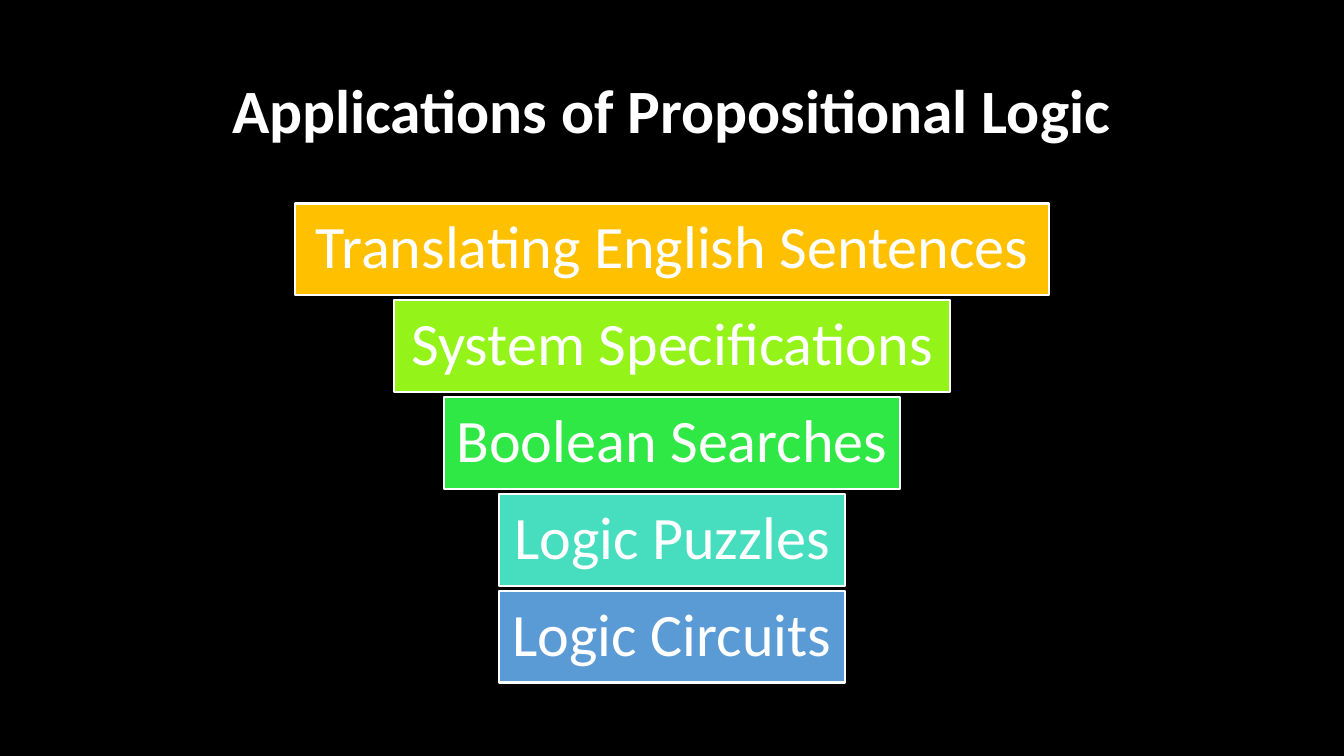
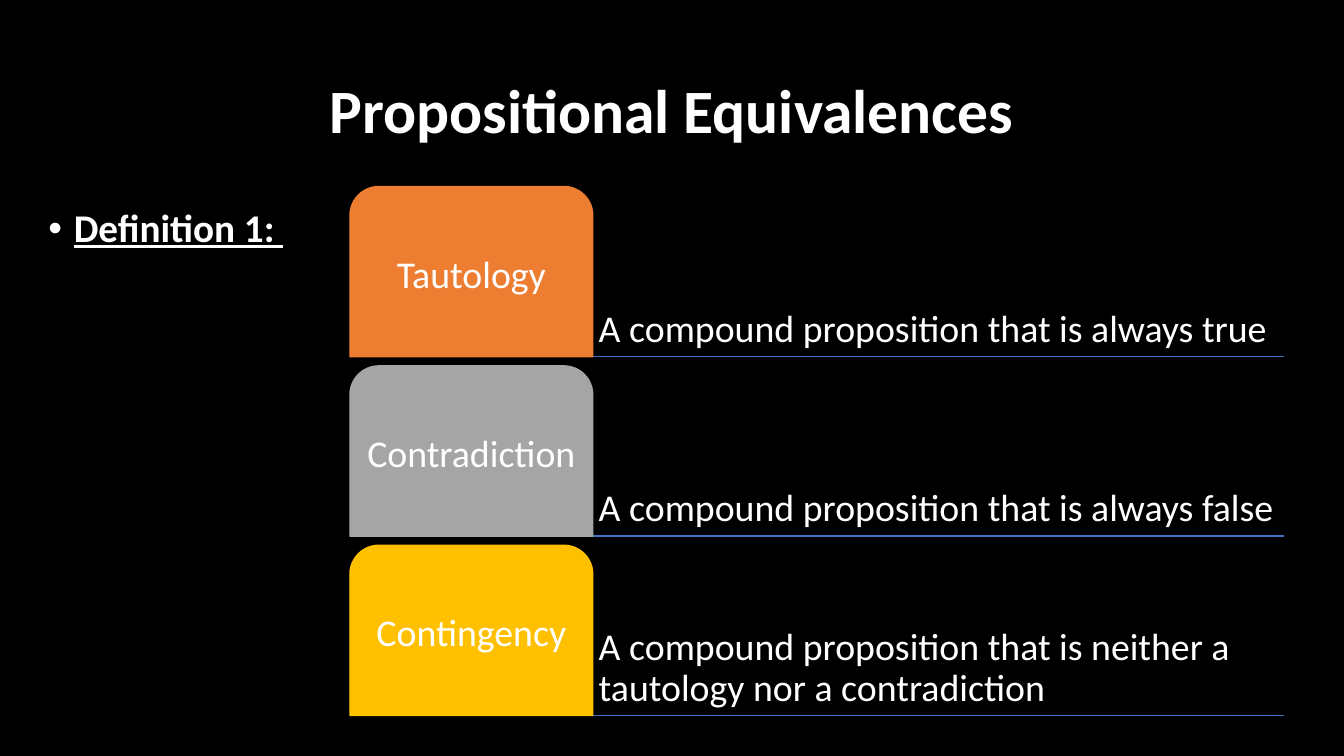
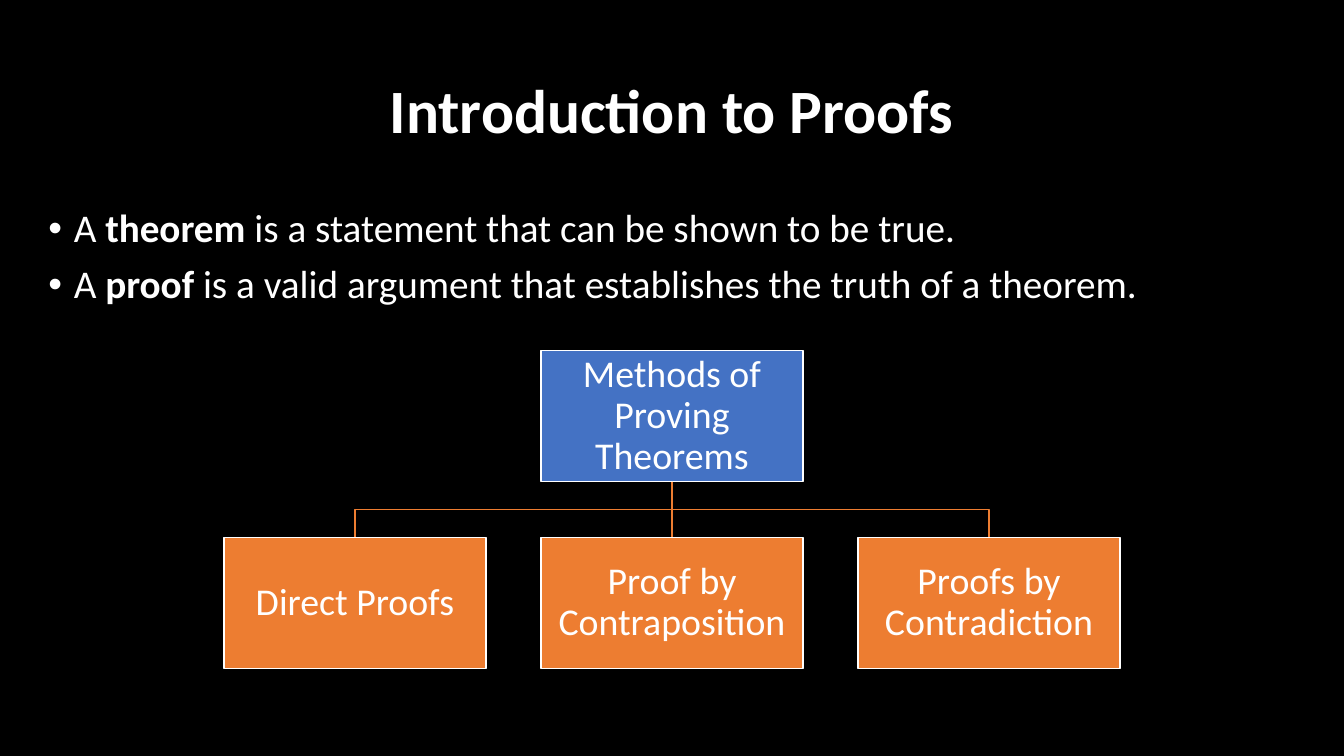
from pptx import Presentation
from pptx.dml.color import RGBColor
from pptx.enum.shapes import MSO_CONNECTOR, MSO_SHAPE
from pptx.enum.text import MSO_ANCHOR, PP_ALIGN
from pptx.oxml.xmlchemy import OxmlElement
from pptx.util import Cm, Pt

RECT = MSO_SHAPE.RECTANGLE
TAB = MSO_SHAPE.ROUND_2_SAME_RECTANGLE
STRAIGHT = MSO_CONNECTOR.STRAIGHT
TOP, MIDDLE, BOTTOM = MSO_ANCHOR.TOP, MSO_ANCHOR.MIDDLE, MSO_ANCHOR.BOTTOM
LEFT, CENTER = PP_ALIGN.LEFT, PP_ALIGN.CENTER

BLACK, WHITE = "000000", "FFFFFF"
BLUE, ORANGE, GREY, GOLD = "4472C4", "ED7D31", "A5A5A5", "FFC000"
WIDE, HIGH = 33.87, 19.05
MID = WIDE / 2
BOLD = {"bold": True}


def color(code):
    return RGBColor.from_string(code)


class Deck:
    """Holds the shared style and the slide being built."""

    def __init__(self):
        self.prs = Presentation()
        self.prs.slide_width, self.prs.slide_height = Cm(WIDE), Cm(HIGH)
        fill = self.prs.slide_master.background.fill
        fill.solid()
        fill.fore_color.rgb = color(BLACK)

    def slide(self, title):
        blank = self.prs.slide_layouts[6]
        self.shapes = self.prs.slides.add_slide(blank).shapes
        self.text((2.33, 1.01, 29.21, 3.68), [[(title, BOLD)]], 44, CENTER, MIDDLE)

    def label(self, shape, paras, size, align, anchor, pad):
        frame = shape.text_frame
        layout = {"word_wrap": True, "vertical_anchor": anchor}
        layout.update({f"margin_{side}": Cm(pad) for side in ("left", "right", "top", "bottom")})
        for key, value in layout.items():
            setattr(frame, key, value)
        for i, runs in enumerate(paras):
            para = frame.add_paragraph() if i else frame.paragraphs[0]
            para.alignment, para.line_spacing = align, 0.9
            for words, extra in runs:
                run = para.add_run()
                run.text = words
                style = {"name": "Calibri", "size": Pt(size), **extra}
                for key, value in style.items():
                    setattr(run.font, key, value)
                run.font.color.rgb = color(WHITE)
        return frame

    def text(self, area, paras, size, align=LEFT, anchor=TOP, pad=0.2):
        box = self.shapes.add_textbox(*map(Cm, area))
        return self.label(box, paras, size, align, anchor, pad)

    def bullets(self, paras):
        frame = self.text((0.97, 5.13, 31.95, 12.09), paras, 28, pad=0.25)
        frame.margin_top = Cm(0.13)
        for para in frame.paragraphs:
            para.space_before = Pt(10)
            props = para._p.get_or_add_pPr()
            props.set("marL", str(Cm(0.64)))
            props.set("indent", str(-Cm(0.64)))
            for tag, key, value in (("a:buFont", "typeface", "Arial"), ("a:buChar", "char", "•")):
                mark = OxmlElement(tag)
                mark.set(key, value)
                props.append(mark)

    def stroke(self, item, tint, width=1):
        item.line.color.rgb = color(tint)
        item.line.width = Pt(width)

    def box(self, area, words, fill, edge=WHITE, width=1, kind=RECT, size=27, pad=0.05):
        shape = self.shapes.add_shape(kind, *map(Cm, area))
        shape.shadow.inherit = False
        shape.fill.solid()
        shape.fill.fore_color.rgb = color(fill)
        self.stroke(shape, edge, width)
        self.label(shape, [[(words, {})]], size, CENTER, MIDDLE, pad)
        return shape

    def line(self, start, end, tint):
        line = self.shapes.add_connector(STRAIGHT, *map(Cm, start + end))
        self.stroke(line, tint)
        line._element.spPr.append(OxmlElement("a:effectLst"))
        return line

    def bend(self, points, tint):
        first, *rest = [(Cm(x), Cm(y)) for x, y in points]
        pen = self.shapes.build_freeform(*first)
        pen.add_line_segments(rest, close=False)
        shape = pen.convert_to_shape()
        shape.shadow.inherit = False
        shape.fill.background()
        self.stroke(shape, tint)


def uses(deck):
    deck.slide("Applications of Propositional Logic")
    bars = [
        ("Translating English Sentences", 19, GOLD),
        ("System Specifications", 14, "94F319"),
        ("Boolean Searches", 11.5, "30E845"),
        ("Logic Puzzles", 8.74, "46DEBF"),
        ("Logic Circuits", 8.74, "5B9BD5"),
    ]
    for i, (words, wide, fill) in enumerate(bars):
        area = (MID - wide / 2, 5.13 + 2.44 * i, wide, 2.31)
        deck.box(area, words, fill, width=1.5, size=43, pad=0.2)


def terms(deck):
    deck.slide("Propositional Equivalences")
    rows = [
        ("Tautology", "A compound proposition that is always true", ORANGE),
        ("Contradiction", "A compound proposition that is always false", GREY),
        ("Contingency", "A compound proposition that is neither a tautology nor a contradiction", GOLD),
    ]
    left, wide, high, span = 8.82, 6.12, 4.29, 17.42
    split = left + wide
    for i, (name, sense, fill) in enumerate(rows):
        top = 4.7 + 4.52 * i
        base = top + high
        deck.line((left, base), (split + span, base), BLUE)
        deck.text((split, top, span, high), [[(sense, {})]], 27, anchor=BOTTOM, pad=0.15)
        tab = deck.box((left, top, wide, high), name, fill, fill, kind=TAB, pad=0.15)
        tab.adjustments[0] = 0.17
    deck.bullets([[("Definition 1: ", {"bold": True, "underline": True})]])


def proofs(deck):
    deck.slide("Introduction to Proofs")
    deck.bullets([
        [("A ", {}), ("theorem", BOLD), (" is a statement that can be shown to be true.", {})],
        [("A ", {}), ("proof", BOLD), (" is a valid argument that establishes the truth of a theorem.", {})],
    ])
    wide, high, step, top, low = 6.6, 3.3, 7.99, 8.84, 13.54
    base = top + high
    half = (base + low) / 2
    root = deck.box((MID - wide / 2, top, wide, high), "Methods of Proving Theorems", BLUE)
    kinds = ["Direct Proofs", "Proof by Contraposition", "Proofs by Contradiction"]
    for i, words in enumerate(kinds):
        x = MID + (i - 1) * step
        leaf = deck.box((x - wide / 2, low, wide, high), words, ORANGE)
        if i == 1:
            stem = deck.line((MID, base), (x, low), ORANGE)
            stem.begin_connect(root, 2)
            stem.end_connect(leaf, 0)
        else:
            deck.bend([(MID, base), (MID, half), (x, half), (x, low)], ORANGE)


def main():
    deck = Deck()
    for build in (uses, terms, proofs):
        build(deck)
    deck.prs.save("out.pptx")


if __name__ == "__main__":
    main()
